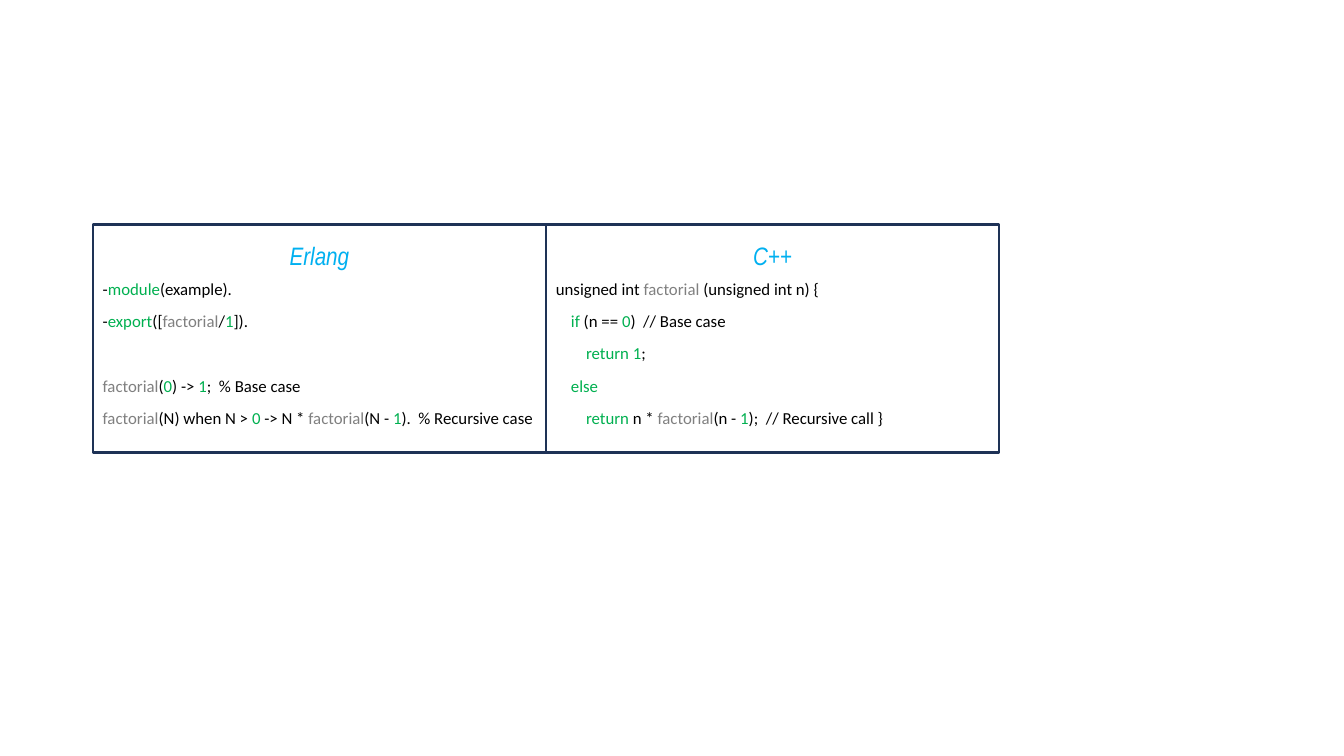
from pptx import Presentation
from pptx import util as u
from pptx.dml.color import RGBColor
from pptx.enum import shapes, text

# Content: each code line is (indent level, spans); a span is text and colour
PLAIN, KEY, NAME = "000000", "00B050", "808080"
HEADING, BORDER = "00B0F0", "1E3256"
FACTORIAL = ("factorial", NAME)
ZERO, ONE = ("0", KEY), ("1", KEY)

PANELS = [
    ("Erlang", [
        (0, ["-", ("module", KEY), "(example)."]),
        (0, ["-", ("export", KEY), "([", FACTORIAL, "/", ONE, "])."]),
        (0, [FACTORIAL, "(", ZERO, ") -> ", ONE, ";  % Base case"]),
        (0, [FACTORIAL, "(N) when N > ", ZERO, " -> N * ", FACTORIAL,
             "(N - ", ONE, ").  % Recursive case"]),
    ]),
    ("C++", [
        (0, ["unsigned int ", FACTORIAL, " (unsigned int n) {"]),
        (1, [("if", KEY), " (n == ", ZERO, ")  // Base case"]),
        (2, [("return 1", KEY), ";"]),
        (1, [("else", KEY)]),
        (2, [("return", KEY), " n * ", FACTORIAL, "(n - ", ONE,
             ");  // Recursive call }"]),
    ]),
]
SECTION_STARTS = {("Erlang", 2)}  # lines set off by one line of space

# Layout
LEFT, PANEL_TOP = u.Cm(2.34), u.Cm(5.66)
PANEL_WIDTH, PANEL_HEIGHT = u.Cm(11.42), u.Cm(5.74)
HEADING_TOP, HEADING_HEIGHT = u.Cm(4.67), u.Cm(2.29)
CODE_TOP, CODE_HEIGHT = HEADING_TOP + HEADING_HEIGHT, u.Cm(4.42)
INDENT = u.Cm(0.38)
LINE_GAP, SECTION_GAP = u.Pt(10), u.Pt(33.2)


def colour(value):
    return RGBColor.from_string(value)


def add_text_box(left, top, height, anchor):
    box = slide.shapes.add_textbox(left, top, PANEL_WIDTH, height)
    frame = box.text_frame
    frame.word_wrap = True
    frame.vertical_anchor = anchor
    return frame


def format_para(para, font, size, gap=LINE_GAP):
    para.line_spacing = 0.9
    para.space_before = gap
    para.font.name = font
    para.font.size = u.Pt(size)


def add_heading(left, title):
    frame = add_text_box(left, HEADING_TOP, HEADING_HEIGHT,
                         text.MSO_ANCHOR.BOTTOM)
    para = frame.paragraphs[0]
    para.text = title
    para.alignment = text.PP_ALIGN.CENTER
    format_para(para, "Arial Narrow", 18)
    para.font.italic = True
    para.font.color.rgb = colour(HEADING)


def add_code(left, title, lines):
    frame = add_text_box(left, CODE_TOP, CODE_HEIGHT, text.MSO_ANCHOR.TOP)
    for row, (level, spans) in enumerate(lines):
        para = frame.add_paragraph() if row else frame.paragraphs[0]
        gap = SECTION_GAP if (title, row) in SECTION_STARTS else LINE_GAP
        format_para(para, "Calibri", 12, gap)
        if level:
            para._p.get_or_add_pPr().set("marL", str(level * INDENT))
        for item in spans:
            words, shade = (item, PLAIN) if isinstance(item, str) else item
            span = para.add_run()
            span.text = words
            span.font.color.rgb = colour(shade)


def add_border(left):
    border = slide.shapes.add_shape(shapes.MSO_SHAPE.RECTANGLE, left,
                                    PANEL_TOP, PANEL_WIDTH, PANEL_HEIGHT)
    border.shadow.inherit = False
    border.fill.background()
    border.line.color.rgb = colour(BORDER)
    border.line.width = u.Pt(1.75)


deck = Presentation()
deck.slide_width, deck.slide_height = u.Cm(33.87), u.Cm(19.05)
slide = deck.slides.add_slide(deck.slide_layouts[6])

# Two code panels side by side
for column, (title, lines) in enumerate(PANELS):
    left = LEFT + column * PANEL_WIDTH
    add_heading(left, title)
    add_code(left, title, lines)
    add_border(left)

deck.save("out.pptx")
